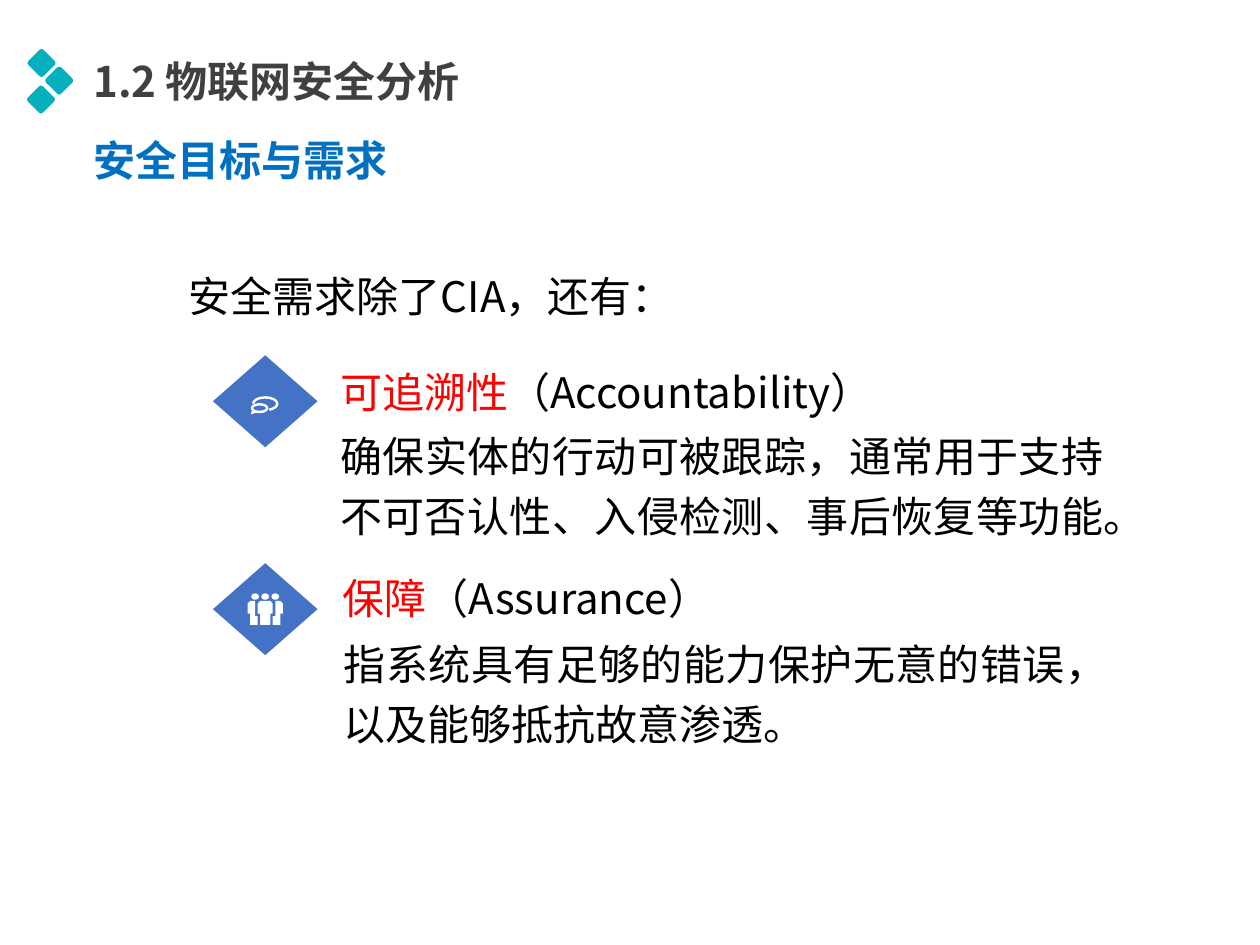
from math import cos, radians, sin

from pptx import Presentation
from pptx.dml.color import RGBColor
from pptx.enum.shapes import MSO_SHAPE as Preset
from pptx.enum.text import MSO_ANCHOR as Anchor, MSO_AUTO_SIZE as AutoSize, PP_ALIGN as Align
from pptx.oxml.ns import qn
from pptx.util import Inches, Pt

FONT = "Noto Sans CJK SC"
COLORS = {
    "teal": "04B0BE", "title": "404040", "subtitle": "0070C0",
    "diamond": "4472C4", "icon": "FFFFFF", "term": "FF0000", "body": "000000",
}

deck = Presentation()
deck.slide_width, deck.slide_height = Inches(10), Inches(7.5)
page = deck.slides.add_slide(deck.slide_layouts[6])
CELL = deck.slide_width / 100  # the page is a grid of 100 columns and 75 rows


def paint(shape, color):
    """Give the shape a plain fill without line or shadow."""
    shape.fill.solid()
    shape.fill.fore_color.rgb = RGBColor.from_string(COLORS[color])
    shape.line.fill.background()
    shape.shadow.inherit = False


def add_text(place, spans, heading=False):
    """Write (text, colour) spans as one paragraph at the grid place."""
    box = page.shapes.add_textbox(*(round(n * CELL) for n in place))
    frame = box.text_frame
    frame.word_wrap = True
    para = frame.paragraphs[0]
    if heading:
        frame.auto_size = AutoSize.SHAPE_TO_FIT_TEXT
        insets = 0.07, 0.04, 0.07, 0.04
    else:
        frame.vertical_anchor = Anchor.MIDDLE
        insets = 0.06, 0, 0.18, 0
        para.alignment = Align.JUSTIFY
        para.line_spacing = 1.2
    (frame.margin_left, frame.margin_top,
     frame.margin_right, frame.margin_bottom) = map(Inches, insets)
    for text, color in spans:
        span = para.add_run()
        span.text = text
        span.font.size = Pt(24)
        span.font.bold = heading
        span.font.name = FONT
        span.font.color.rgb = RGBColor.from_string(COLORS[color])
        east_asian = span.font._element.makeelement(qn("a:ea"), {"typeface": FONT})
        span.font._element.find(qn("a:latin")).addnext(east_asian)


# Heading with three rounded diamonds
TILE = 1.7
for column, row in ((3.3, 5), (4.7, 6.4), (3.25, 7.9)):
    tile = page.shapes.add_shape(
        Preset.ROUNDED_RECTANGLE, *(round(n * CELL) for n in (column - TILE / 2, row - TILE / 2, TILE, TILE)))
    tile.adjustments[0] = 0.14
    tile.rotation = 45
    paint(tile, "teal")
add_text((6.7, 4, 34.5, 4.8), [("1.2 物联网安全分析", "title")], heading=True)
add_text((6.7, 10.3, 25.6, 4.8), [("安全目标与需求", "subtitle")], heading=True)

# Text of the two requirements
add_text((14.4, 20.2, 42.7, 5.7), [("安全需求除了CIA，还有：", "body")])
add_text((26.4, 28.3, 63, 4.7), [("可追溯性", "term"), ("（Accountability）", "body")])
add_text((26.4, 33.9, 63, 8.5), [("确保实体的行动可被跟踪，通常用于支持不可否认性、入侵检测、事后恢复等功能。", "body")])
add_text((26.6, 44.9, 63, 4.3), [("保障", "term"), ("（Assurance）", "body")])
add_text((26.7, 50.4, 63, 8.5), [("指系统具有足够的能力保护无意的错误，以及能够抵抗故意渗透。", "body")])

# Icon outlines, in cells from the centre of their diamond
circle = [(cos(radians(a)), sin(radians(a))) for a in range(0, 360, 15)]
arc = [(cos(radians(a)), sin(radians(a))) for a in range(180, 431, 10)]
small_bubble = [(-0.45 + 0.7 * x, 0.55 + 0.4 * y) for x, y in circle]
small_hole = [(-0.45 + 0.5 * x, 0.55 + 0.2 * y) for x, y in circle]
bubble_tail = [(-1.05, 0.75), (-1.15, 1.05), (-0.75, 0.92)]
large_bubble = ([(1.05 * x, 0.2 + 0.6 * y) for x, y in arc]
                + [(0.85 * x, 0.2 + 0.4 * y) for x, y in reversed(arc)])
speech = [small_bubble, small_hole, bubble_tail, large_bubble]

heads = [[(x + 0.3 * dx, -1 + 0.25 * dy) for dx, dy in circle] for x in (-0.8, 0, 0.8)]
left_body = [(-1.2, -0.65), (-0.8, -0.65), (-0.8, 0.55), (-0.6, 0.55),
             (-0.6, 1.25), (-1.2, 1.25), (-1.2, 0.35), (-1.4, 0.35), (-1.4, -0.45)]
right_body = [(-x, y) for x, y in left_body]
half_body = [(0.4, -0.65), (0.6, -0.45), (0.6, 0.35), (0.4, 0.35), (0.4, 1.25)]
middle_body = half_body + [(-x, y) for x, y in reversed(half_body)]
people = heads + [left_body, right_body, middle_body]

CENTER, WIDE, TALL = 21.05, 7.3, 8.3
for middle, outlines in ((31.85, speech), (48.35, people)):
    group = page.shapes.add_group_shape()
    place = CENTER - WIDE / 2, middle - TALL / 2, WIDE, TALL
    diamond = group.shapes.add_shape(Preset.DIAMOND, *(round(n * CELL) for n in place))
    diamond.rotation = 90
    paint(diamond, "diamond")
    contours = [[((CENTER + x) * CELL, (middle + y) * CELL) for x, y in outline] for outline in outlines]
    builder = group.shapes.build_freeform(*contours[0][0])
    for index, contour in enumerate(contours):
        if index:
            builder.move_to(*contour[0])
        builder.add_line_segments(contour[1:], close=True)
    paint(builder.convert_to_shape(), "icon")

deck.save("out.pptx")
